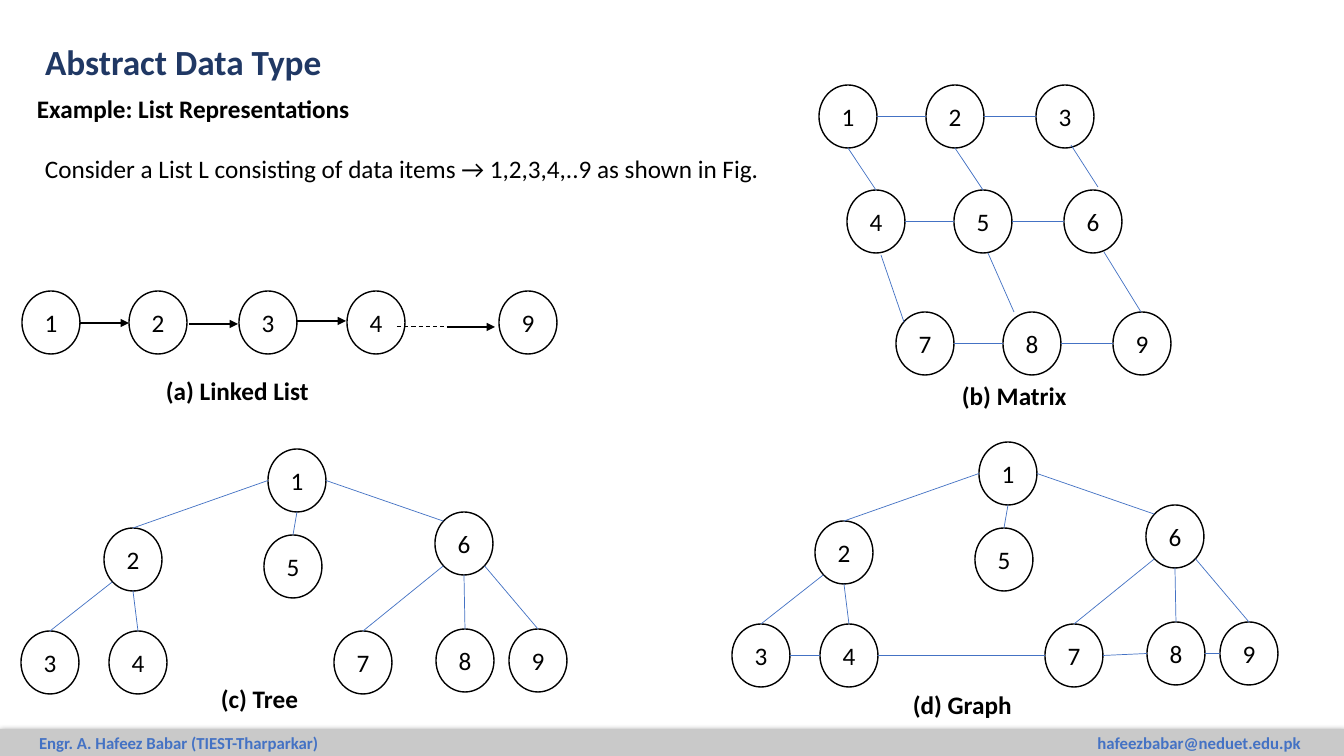
from pptx import Presentation
from pptx import util as u
from pptx.dml.color import RGBColor
from pptx.enum import dml, shapes, text
from pptx.oxml import ns, xmlchemy as xc

# Content, lengths in px
HUE = {"title": "203864", "ink": "000000", "edge": "4472C4",
       "node": "FFFFFF", "bar": "C9C9C9"}
FONT = "Calibri"
TITLE = ("Abstract Data Type", 35, 39, 301, 50)
LABELS = [  # wording, left, top, width, bold
    ("Example: List Representations", 27, 88, 348, True),
    ("Consider a List L consisting of data items → 1,2,3,4,..9 as shown in Fig.",
     35, 148, 752, False),
    ("(a) Linked List", 156, 370, 164, True),
    ("(b) Matrix", 952, 375, 126, True),
    ("(c) Tree", 211, 678, 97, True),
    ("(d) Graph", 903, 684, 120, True),
]
FOOT = ("Engr. A. Hafeez Babar (TIEST-Tharparkar)", "hafeezbabar@neduet.edu.pk")

LIST = {1: (22, 291), 2: (129, 291), 3: (239, 291), 4: (347, 291), 9: (499, 291)}
ARROWS = [(80, 323, 129, 323), (189, 324, 238, 324),
          (296, 321, 346, 321), (447, 327, 495, 327)]
DASH = (397, 327, 447, 327)

ROWS = [(819, 85), (847, 190), (896, 312)]
COLS = [0, 107, 217]
SLANTS = [(1071, 145, 1098, 187), (881, 255, 904, 322),
          (988, 253, 1014, 312), (1104, 252, 1141, 312)]

TREE = {1: (268, 449), 2: (104, 528), 3: (21, 631), 4: (109, 631), 5: (264, 535),
        6: (435, 512), 7: (334, 631), 8: (436, 629), 9: (509, 629)}
LINKS = [(1, "b", 5, "t"), (1, "l", 2, "t"), (1, "r", 6, "tl"), (6, "bl", 7, "t"),
         (6, "b", 8, "t"), (6, "br", 9, "t"), (2, "b", 4, "t"), (2, "bl", 3, "t")]
CROSS = [(a, "r", b, "l") for a, b in [(8, 9), (7, 8), (4, 7), (3, 4)]]
SHIFT = (711, -7)  # graph relative to tree

WIDE, HIGH = 58, 63
DIAG = 0.71
SITES = {"t": (0, -1), "b": (0, 1), "l": (-1, 0), "r": (1, 0),
         "tl": (-DIAG, -DIAG), "bl": (-DIAG, DIAG), "br": (DIAG, DIAG)}

deck = Presentation()
deck.slide_width, deck.slide_height = u.Inches(13.3333), u.Inches(7.5)
SCALE = deck.slide_height / 756
page = deck.slides.add_slide(deck.slide_layouts[5])


def px(*vals):
    return [u.Emu(round(v * SCALE)) for v in vals]


def rgb(name):
    return RGBColor.from_string(HUE[name])


def write(para, words, size, hue="ink", bold=False):
    run = para.add_run()
    run.text = words
    font = run.font
    font.name, font.size, font.bold = FONT, u.Pt(size), bold
    font.color.rgb = rgb(hue)


def label(words, x, y, w, bold):
    frame = page.shapes.add_textbox(*px(x, y, w, 40)).text_frame
    frame.word_wrap = False
    frame.auto_size = text.MSO_AUTO_SIZE.SHAPE_TO_FIT_TEXT
    write(frame.paragraphs[0], words, 18, bold=bold)


def solid(kind, box, fill):
    shape = page.shapes.add_shape(kind, *px(*box))
    shape.shadow.inherit = False
    shape.fill.solid()
    shape.fill.fore_color.rgb = rgb(fill)
    shape.text_frame.vertical_anchor = text.MSO_ANCHOR.MIDDLE
    return shape


def nodes(spots):
    for num, (x, y) in spots.items():
        ring = solid(shapes.MSO_SHAPE.OVAL, (x, y, WIDE, HIGH), "node")
        ring.line.color.rgb = rgb("ink")
        ring.line.width = u.Pt(1)
        para = ring.text_frame.paragraphs[0]
        para.alignment = text.PP_ALIGN.CENTER
        write(para, str(num), 18)


def line(ends, hue="edge", width=0.5, dash=False, head=False):
    link = page.shapes.add_connector(shapes.MSO_CONNECTOR.STRAIGHT, *px(*ends))
    link.line.color.rgb = rgb(hue)
    link.line.width = u.Pt(width)
    if dash:
        link.line.dash_style = dml.MSO_LINE.DASH
    if head:
        tip = xc.OxmlElement("a:tailEnd")
        tip.set("type", "triangle")
        link.line._get_or_add_ln().append(tip)
    link._element.spPr.append(xc.OxmlElement("a:effectLst"))


def site(spot, side):
    dx, dy = SITES[side]
    return spot[0] + WIDE / 2 * (1 + dx), spot[1] + HIGH / 2 * (1 + dy)


def graph(spots, links):
    nodes(spots)
    for a, out, b, into in links:
        line(site(spots[a], out) + site(spots[b], into))


# Title and labels
words, *box = TITLE
head = page.shapes.title
head.left, head.top, head.width, head.height = px(*box)
frame = head.text_frame
frame.word_wrap = True
frame.auto_size = text.MSO_AUTO_SIZE.NONE
frame.vertical_anchor = text.MSO_ANCHOR.MIDDLE
para = frame.paragraphs[0]
para.alignment = text.PP_ALIGN.LEFT
para.line_spacing = 0.9
write(para, words, 25.2, "title", True)
for item in LABELS:
    label(*item)

# Linked list
nodes(LIST)
for ends in ARROWS:
    line(ends, "ink", 1.5, head=True)
line(DASH, "ink", 0.75, dash=True)

# Matrix
grid = {3 * r + c + 1: (x + dx, y)
        for r, (x, y) in enumerate(ROWS) for c, dx in enumerate(COLS)}
across = [(n, "r", n + 1, "l") for n in grid if n % 3]
graph(grid, across + [(1, "b", 4, "t"), (2, "b", 5, "t")])
for ends in SLANTS:
    line(ends)

# Tree, and graph with its cross links
graph(TREE, LINKS)
graph({n: (x + SHIFT[0], y + SHIFT[1]) for n, (x, y) in TREE.items()}, LINKS + CROSS)

# Footer bar with a soft shadow and a right tab
bar = solid(shapes.MSO_SHAPE.RECTANGLE, (0, 729, 1344, 27), "bar")
bar.line.fill.background()
glow = xc.OxmlElement("a:outerShdw")
for key, val in {"blurRad": u.Pt(4.5), "dist": u.Pt(1.5), "dir": 90 * 60000,
                 "algn": "ctr", "rotWithShape": 0}.items():
    glow.set(key, str(int(val)) if key != "algn" else val)
tint = xc.OxmlElement("a:srgbClr")
tint.set("val", HUE["ink"])
alpha = xc.OxmlElement("a:alpha")
alpha.set("val", "63000")
tint.append(alpha)
glow.append(tint)
bar._element.spPr.find(ns.qn("a:effectLst")).append(glow)

frame = bar.text_frame
frame.margin_left, frame.margin_right = px(39, 39)
para = frame.paragraphs[0]
para.alignment = text.PP_ALIGN.LEFT
tabs, stop = xc.OxmlElement("a:tabLst"), xc.OxmlElement("a:tab")
stop.set("pos", str(px(1262)[0]))
stop.set("algn", "r")
tabs.append(stop)
para._p.get_or_add_pPr().append(tabs)
write(para, FOOT[0] + "\t", 12, "edge", True)
write(para, FOOT[1], 12, "edge", True)

deck.save("out.pptx")
